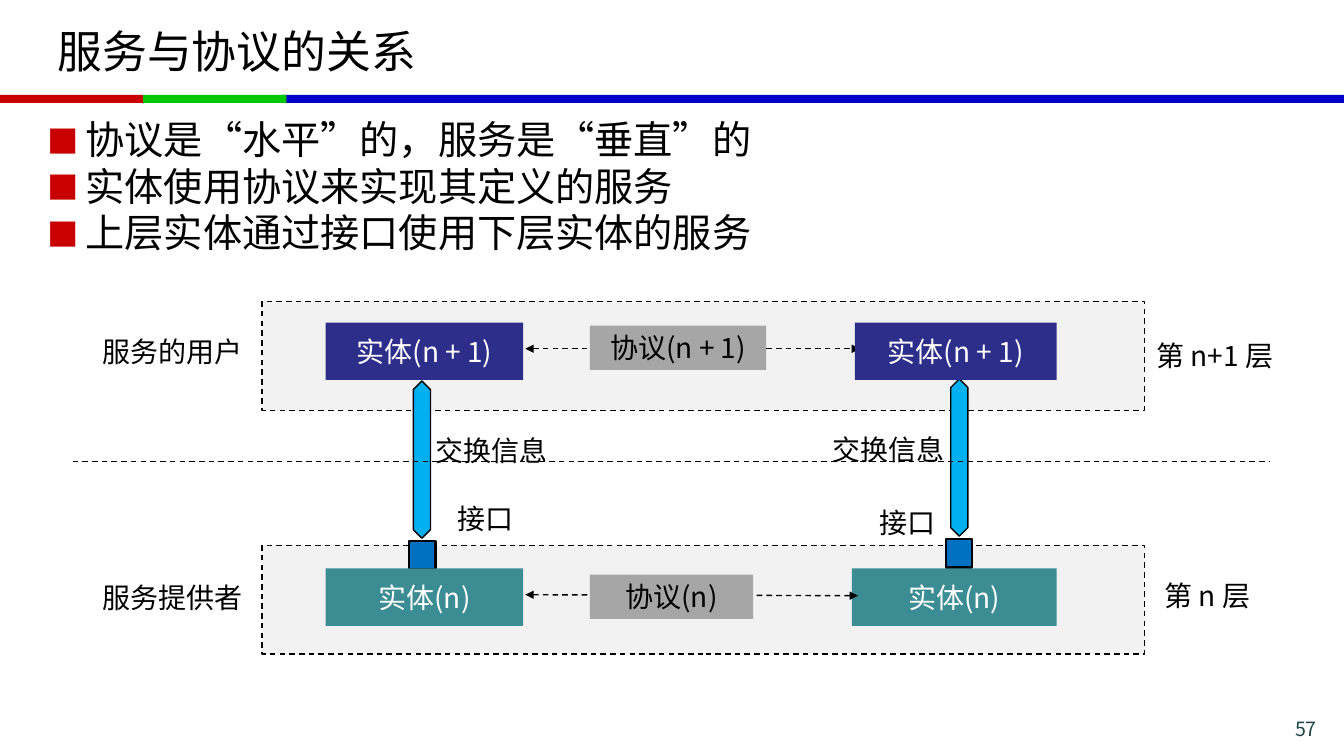
from pptx import Presentation
from pptx.dml.color import RGBColor
from pptx.enum.dml import MSO_LINE
from pptx.enum.shapes import MSO_CONNECTOR, MSO_SHAPE as Kind
from pptx.enum.text import MSO_ANCHOR as Anchor, MSO_AUTO_SIZE as Fit, PP_ALIGN as Align
from pptx.oxml.ns import qn
from pptx.util import Pt
from lxml.etree import SubElement

PX = 9144
FONT = "Noto Sans CJK SC"
BLACK = RGBColor(0x00, 0x00, 0x00)
WHITE = RGBColor(0xFF, 0xFF, 0xFF)
RED = RGBColor(0xC8, 0x00, 0x00)
GREEN = RGBColor(0x00, 0xC8, 0x00)
BLUE = RGBColor(0x00, 0x00, 0xC8)
PALE = RGBColor(0xF2, 0xF2, 0xF2)
GRAY = RGBColor(0xA6, 0xA6, 0xA6)
NAVY = RGBColor(0x2D, 0x2D, 0x8A)
TEAL = RGBColor(0x3C, 0x8C, 0x93)
AZURE = RGBColor(0x00, 0x70, 0xC0)
SKY = RGBColor(0x00, 0xB0, 0xF0)
DARK = RGBColor(0x1E, 0x46, 0x49)

TITLE = "服务与协议的关系"
POINTS = [
    "协议是“水平”的，服务是“垂直”的",
    "实体使用协议来实现其定义的服务",
    "上层实体通过接口使用下层实体的服务",
]
NUMBER = "57"
BARS = [(279, 1054, BLUE), (0, 142, RED), (142, 142, GREEN)]
FRAMES = [299, 541]
PORTS = [(406, 537), (938, 535)]
ARROWS = [(410, 378), (943, 376)]
LABELS = [
    ("服务的用户", 92, 327, 160),
    ("服务提供者", 92, 571, 160),
    ("交换信息", 422, 425, 132),
    ("交换信息", 816, 424, 132),
    ("接口", 444, 493, 76),
    ("接口", 862, 497, 76),
]
LAYERS = [("第 n+1 层", 1137, 331, 140), ("第 n 层", 1145, 569, 110)]
ENTITIES = [
    ("实体(n + 1)", 323, 320, 196, NAVY),
    ("实体(n + 1)", 848, 320, 200, NAVY),
    ("实体(n)", 323, 564, 196, TEAL),
    ("实体(n)", 845, 564, 203, TEAL),
]
PROTOCOLS = [("协议(n + 1)", 585, 323, 175), ("协议(n)", 585, 570, 162)]


def place(shape, *box):
    shape.left, shape.top, shape.width, shape.height = [n * PX for n in box]


def write(para, text, size, color):
    run = para.add_run()
    run.text = text
    font = run.font
    font.size, font.name, font.color.rgb = Pt(size), FONT, color
    props = run._r.get_or_add_rPr()
    latin = props.find(qn("a:latin"))
    east = props.makeelement(qn("a:ea"), {"typeface": FONT})
    latin.addnext(east)


def draw(kind, box, fill, width=0, dash=False):
    shape = slide.shapes.add_shape(kind, *[n * PX for n in box])
    shape.shadow.inherit = False
    shape.fill.solid()
    shape.fill.fore_color.rgb = fill
    if width:
        shape.line.color.rgb = BLACK
        shape.line.width = Pt(width)
        if dash:
            shape.line.dash_style = MSO_LINE.DASH
    else:
        shape.line.fill.background()
    return shape


def fill_in(shape, text, color=BLACK, align=Align.CENTER, anchor=Anchor.TOP, wrap=True, size=20):
    frame = shape.text_frame
    frame.word_wrap = wrap
    frame.vertical_anchor = anchor
    para = frame.paragraphs[0]
    para.alignment = align
    write(para, text, size, color)
    return frame


def label(text, x, y, w, wrap=False):
    box = slide.shapes.add_textbox(x * PX, y * PX, w * PX, 44 * PX)
    fill_in(box, text, align=Align.LEFT, wrap=wrap).auto_size = Fit.SHAPE_TO_FIT_TEXT


def dashed(x1, y1, x2, y2, heads=True):
    wire = slide.shapes.add_connector(MSO_CONNECTOR.STRAIGHT, *[n * PX for n in (x1, y1, x2, y2)])
    wire.line.color.rgb = BLACK
    wire.line.width = Pt(1)
    wire.line.dash_style = MSO_LINE.DASH
    if heads:
        line = wire.line._get_or_add_ln()
        for end in ("a:headEnd", "a:tailEnd"):
            SubElement(line, qn(end), type="triangle")
    SubElement(wire._element.spPr, qn("a:effectLst"))


def bullet(para):
    props = para._p.get_or_add_pPr()
    props.set("marL", str(38 * PX))
    props.set("indent", str(-38 * PX))
    tint = SubElement(props, qn("a:buClr"))
    SubElement(tint, qn("a:srgbClr"), val=str(RED))
    SubElement(props, qn("a:buSzPct"), val="80000")
    SubElement(props, qn("a:buFont"), typeface=FONT)
    SubElement(props, qn("a:buChar"), char="■")


deck = Presentation()
deck.slide_width, deck.slide_height = 1333 * PX, 750 * PX
slide = deck.slides.add_slide(deck.slide_layouts[1])

for x, w, color in BARS:
    draw(Kind.RECTANGLE, (x, 94, w, 8), color)

title = slide.shapes.title
place(title, 47, 8, 1239, 84)
fill_in(title, TITLE, align=Align.LEFT, anchor=Anchor.MIDDLE, size=32).auto_size = Fit.NONE

body = slide.placeholders[1]
place(body, 37, 115, 1260, 186)
frame = body.text_frame
frame.auto_size = Fit.NONE
for i, text in enumerate(POINTS):
    para = frame.add_paragraph() if i else frame.paragraphs[0]
    bullet(para)
    para.line_spacing = 0.9
    para.space_before = Pt(2.8 if i else 0)
    write(para, text, 28, BLACK)

page = slide.shapes.add_textbox(1186 * PX, 706 * PX, 130 * PX, 28 * PX)
fill_in(page, NUMBER, DARK, Align.RIGHT, size=14)

for y in FRAMES:
    draw(Kind.RECTANGLE, (260, y, 875, 108), PALE, 1, True)
for x, y in PORTS:
    draw(Kind.RECTANGLE, (x, y, 26, 28), AZURE, 1.5)
for x, y in ARROWS:
    arrow = draw(Kind.UP_DOWN_ARROW, (x, y, 17, 156), SKY, 1)
    arrow.adjustments[0], arrow.adjustments[1] = 0.5, 1.8
for item in LABELS:
    label(*item)
for item in LAYERS:
    label(*item, wrap=True)

dashed(521, 346, 853, 346)
for text, x, y, w, color in ENTITIES:
    box = draw(Kind.RECTANGLE, (x, y, w, 57), color)
    fill_in(box, text, WHITE, anchor=Anchor.MIDDLE, wrap=False)
dashed(521, 590, 851, 591)
for text, x, y, w in PROTOCOLS:
    fill_in(draw(Kind.RECTANGLE, (x, y, w, 44), GRAY), text)
dashed(72, 458, 1260, 458, False)

deck.save("out.pptx")
